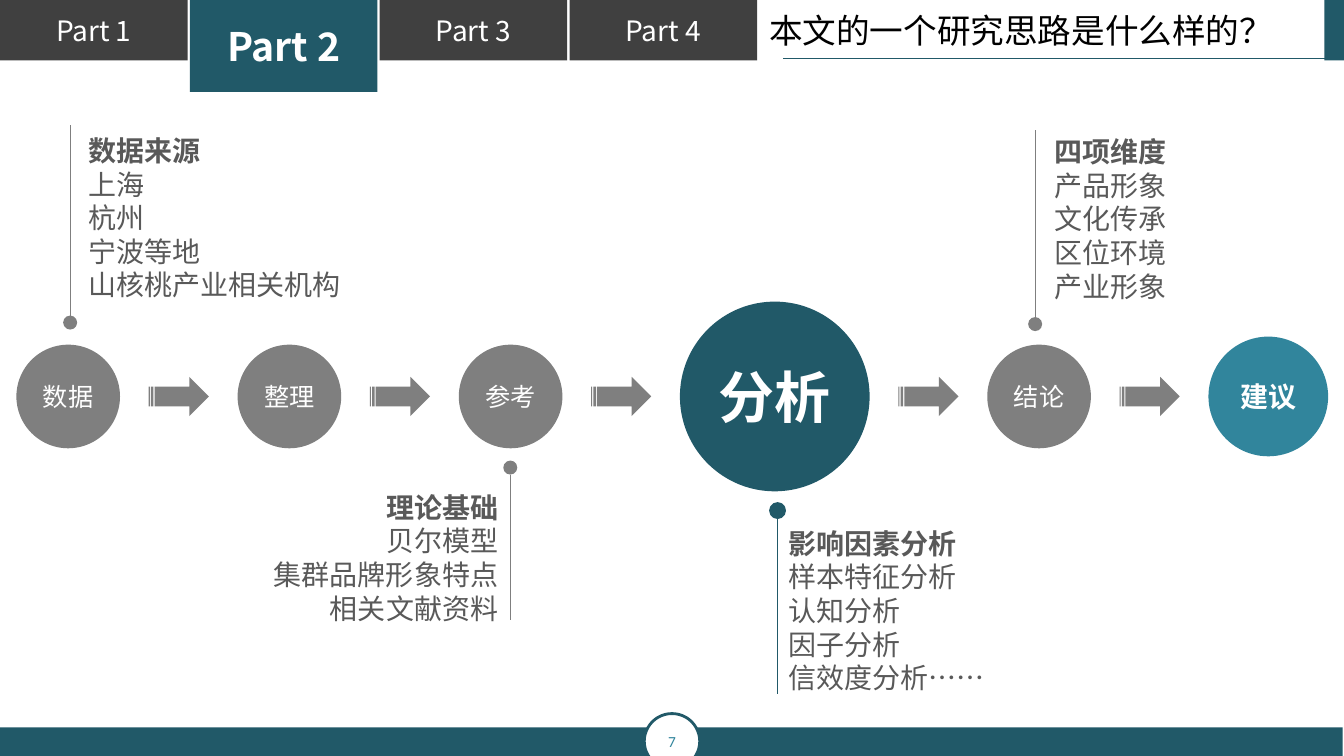
from lxml import etree
from pptx import Presentation
from pptx.dml.color import RGBColor
from pptx.enum.shapes import MSO_CONNECTOR, MSO_SHAPE
from pptx.enum.text import MSO_ANCHOR, PP_ALIGN
from pptx.oxml.ns import qn
from pptx.util import Pt

RECT, OVAL = MSO_SHAPE.RECTANGLE, MSO_SHAPE.OVAL
STRAIGHT = MSO_CONNECTOR.STRAIGHT
LEFT, CENTER, RIGHT = PP_ALIGN.LEFT, PP_ALIGN.CENTER, PP_ALIGN.RIGHT
TOP, MIDDLE = MSO_ANCHOR.TOP, MSO_ANCHOR.MIDDLE

# Content
FONT, NUMBER_FONT = "Noto Sans CJK SC", "Calibri"
TEAL, LIGHT_TEAL, DARK = "215968", "31859C", "404040"
GREY, TEXT_GREY, WHITE, BLACK = "7F7F7F", "595959", "FFFFFF", "000000"

TITLE = "本文的一个研究思路是什么样的？"
PAGE = "7"
# label, height, fill, font size, bold
PARTS = [
    ("Part 1", 43.2, DARK, 20, False),
    ("Part 2", 65.7, TEAL, 28, True),
    ("Part 3", 43.2, DARK, 20, False),
    ("Part 4", 43.2, DARK, 20, False),
]
# label, diameter, fill, font size, bold
STEPS = [
    ("数据", 74, GREY, 18, False),
    ("整理", 74, GREY, 18, False),
    ("参考", 74, GREY, 18, False),
    ("分析", 135.5, TEAL, 40, True),
    ("结论", 74, GREY, 18, False),
    ("建议", 85.5, LIGHT_TEAL, 20, True),
]
# dot centre, line end y, text box (left, top, width, height), alignment, colour, dot outline, lines
NOTES = [
    ((50.1, 230.4), 89.5, (56.2, 91.8, 200, 127.4), LEFT, GREY, 0,
     ["数据来源", "上海", "杭州", "宁波等地", "山核桃产业相关机构"]),
    ((364.5, 334), 442.8, (183, 346.6, 180, 103.7), RIGHT, GREY, 0,
     ["理论基础", "贝尔模型", "集群品牌形象特点", "相关文献资料"]),
    ((739.4, 231.5), 92.9, (746, 92.7, 100, 127.4), LEFT, GREY, 0,
     ["四项维度", "产品形象", "文化传承", "区位环境", "产业形象"]),
    ((555.4, 364.7), 496, (556.2, 372.4, 188.6, 127.4), LEFT, TEAL, 2,
     ["影响因素分析", "样本特征分析", "认知分析", "因子分析", "信效度分析……"]),
]
TAB_PITCH, TAB_WIDTH = 135.6, 134
FLOW_LEFT, FLOW_Y = 11.7, 283.2
ARROW_WIDTH, ARROW_GAP, DOT = 43, 20.5, 10
# Two thin bars and a block arrow, relative to the arrow's left end and axis
ARROW = [
    [(0, -7), (0.8, -7), (0.8, 7), (0, 7)],
    [(1.6, -7), (3.4, -7), (3.4, 7), (1.6, 7)],
    [(4.2, -7), (29, -7), (29, -14), (ARROW_WIDTH, 0), (29, 14), (29, 7), (4.2, 7)],
]

deck = Presentation()
deck.slide_width, deck.slide_height = Pt(960), Pt(540)
slide = deck.slides.add_slide(deck.slide_layouts[5])
shapes = slide.shapes


def color(value):
    return RGBColor.from_string(value)


def write(frame, lines, size, ink, align=CENTER, bold=False, anchor=MIDDLE, font=FONT):
    frame.text = "\n".join(lines)
    frame.vertical_anchor = anchor
    for paragraph in frame.paragraphs:
        paragraph.alignment = align
        for run in paragraph.runs:
            run.font.size, run.font.bold, run.font.name = Pt(size), bold, font
            run.font.color.rgb = color(ink)
            east_asian = etree.SubElement(run.font._element, qn("a:ea"))
            east_asian.set("typeface", font)


def block(kind, left, top, width, height, fill, outline=0):
    shape = shapes.add_shape(kind, Pt(left), Pt(top), Pt(width), Pt(height))
    paint(shape, fill, outline)
    return shape


def paint(shape, fill, outline=0):
    shape.shadow.inherit = False
    shape.fill.solid()
    shape.fill.fore_color.rgb = color(fill)
    if outline:
        shape.line.color.rgb = color(TEAL)
        shape.line.width = Pt(outline)
    else:
        shape.line.fill.background()


def circle(x, y, diameter, fill, outline=0):
    return block(OVAL, x - diameter / 2, y - diameter / 2, diameter, diameter, fill, outline)


def rule(x1, y1, x2, y2, ink):
    line = shapes.add_connector(STRAIGHT, Pt(x1), Pt(y1), Pt(x2), Pt(y2))
    line.line.color.rgb = color(ink)
    line.line.width = Pt(0.75)
    etree.SubElement(line._element.spPr, qn("a:effectLst"))


def arrow(left):
    outlines = [[(Pt(left + x), Pt(FLOW_Y + y)) for x, y in part] for part in ARROW]
    builder = shapes.build_freeform(*outlines[0][0])
    for number, points in enumerate(outlines):
        if number:
            builder.move_to(*points[0])
        builder.add_line_segments(points[1:], close=True)
    paint(builder.convert_to_shape(), GREY)


# Navigation tabs
for number, (label, height, fill, size, bold) in enumerate(PARTS):
    tab = block(RECT, number * TAB_PITCH, 0, TAB_WIDTH, height, fill)
    write(tab.text_frame, [label], size, WHITE, bold=bold)

# Header end, footer and page number
block(RECT, 946, 0, 14, 43.2, TEAL)
block(RECT, 0, 519.6, 959, 20.4, TEAL)
page = circle(480, 529.5, 39.6, WHITE, 2)
write(page.text_frame, [PAGE], 11, LIGHT_TEAL, font=NUMBER_FONT)
rule(952.6, 41.8, 559.4, 41.8, TEAL)

# Title
title = shapes.title
title.left, title.top, title.width, title.height = Pt(542.2), Pt(3.6), Pt(396.7), Pt(36)
write(title.text_frame, [TITLE], 24, BLACK, LEFT, anchor=TOP)

# Process chain
left = FLOW_LEFT
for number, (label, diameter, fill, size, bold) in enumerate(STEPS):
    if number:
        arrow(left + ARROW_GAP)
        left += ARROW_WIDTH + 2 * ARROW_GAP
    step = circle(left + diameter / 2, FLOW_Y, diameter, fill)
    write(step.text_frame, [label], size, WHITE, bold=bold)
    step.text_frame.word_wrap = False
    left += diameter

# Notes hanging on the steps
for (x, y), line_end, box, align, ink, outline, lines in NOTES:
    circle(x, y, DOT, ink, outline)
    side = 1 if line_end > y else -1
    rule(x, y + side * DOT / 2, x, line_end, ink)
    note = shapes.add_textbox(*map(Pt, box)).text_frame
    note.word_wrap = True
    write(note, lines, 20, TEXT_GREY, align, anchor=TOP)
    note.paragraphs[0].runs[0].font.bold = True

deck.save("out.pptx")
